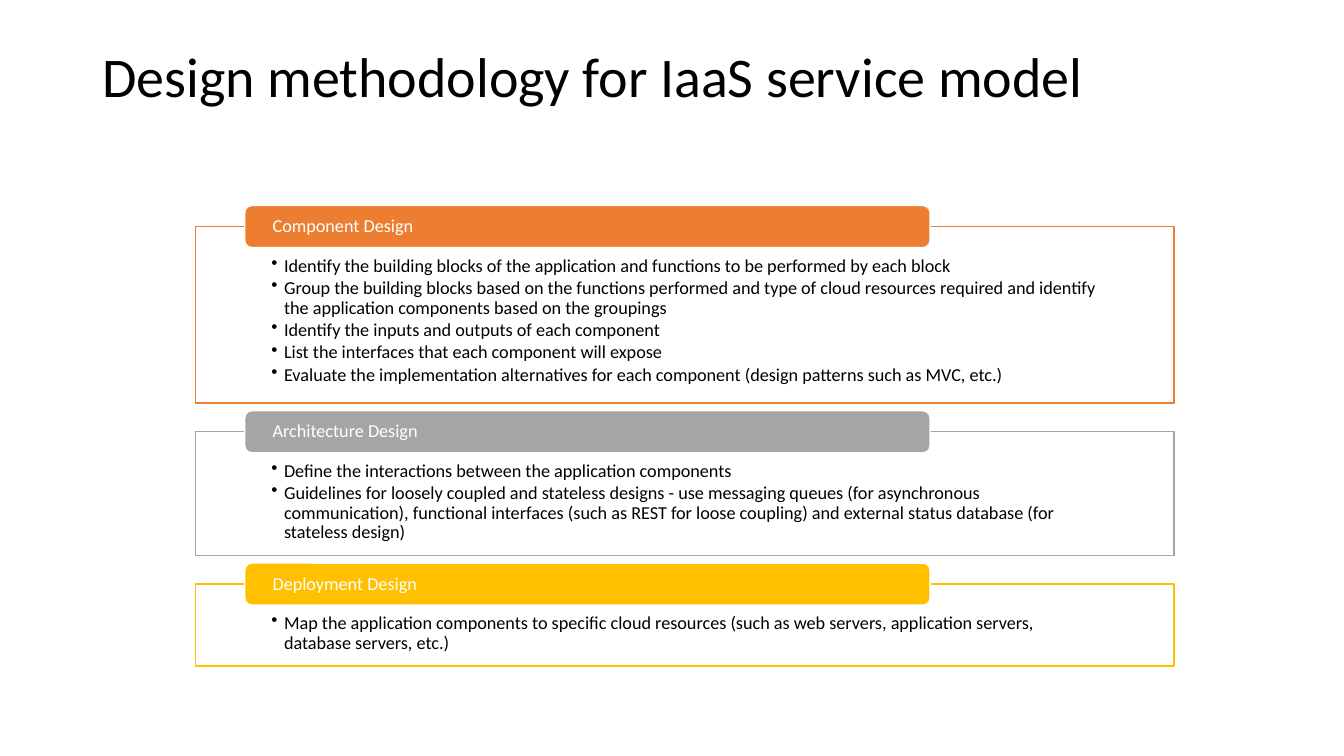
from lxml import etree
from pptx import Presentation
from pptx.dml.color import RGBColor
from pptx.enum.shapes import MSO_SHAPE as Preset
from pptx.enum.text import MSO_ANCHOR as Anchor, PP_ALIGN as Align
from pptx.oxml.ns import qn
from pptx.util import Cm, Pt

COLOURS = {
    "black": "000000",
    "white": "FFFFFF",
    "orange": "ED7D31",
    "grey": "A5A5A5",
    "gold": "FFC000",
}
FONT = "Calibri"
PANEL_LEFT, PANEL_WIDTH, PANEL_GAP = 4.93, 24.66, 0.72
FIRST_PANEL_TOP = 5.71
HEADER_LEFT, HEADER_WIDTH, HEADER_HEIGHT = 6.17, 17.27, 1.06
BULLET_INDENT = Cm(0.32)

# Heading, colour, panel height in cm, bullet texts
STAGES = [
    ("Component Design", "orange", 4.45, [
        "Identify the building blocks of the application and functions to be performed by each block",
        "Group the building blocks based on the functions performed and type of cloud resources "
        "required and identify the application components based on the groupings",
        "Identify the inputs and outputs of each component",
        "List the interfaces that each component will expose",
        "Evaluate the implementation alternatives for each component (design patterns such as MVC, etc.)",
    ]),
    ("Architecture Design", "grey", 3.12, [
        "Define the interactions between the application components",
        "Guidelines for loosely coupled and stateless designs - use messaging queues (for asynchronous "
        "communication), functional interfaces (such as REST for loose coupling) and external status "
        "database (for stateless design)",
    ]),
    ("Deployment Design", "gold", 2.06, [
        "Map the application components to specific cloud resources (such as web servers, "
        "application servers, database servers, etc.)",
    ]),
]


def colour(name):
    return RGBColor.from_string(COLOURS[name])


def set_frame(frame, anchor, left, top, right, bottom):
    """Set wrapping, anchor and margins (in cm) of a text frame."""
    frame.word_wrap = True
    frame.vertical_anchor = anchor
    frame.margin_left, frame.margin_top = Cm(left), Cm(top)
    frame.margin_right, frame.margin_bottom = Cm(right), Cm(bottom)


def style_paragraph(para, text, size, text_colour):
    para.text = text
    para.alignment = Align.LEFT
    para.line_spacing = 0.9
    para.font.name = FONT
    para.font.size = Pt(size)
    para.font.color.rgb = colour(text_colour)


def add_bullet(para):
    properties = para._p.get_or_add_pPr()
    properties.set("marL", str(BULLET_INDENT))
    properties.set("indent", str(-BULLET_INDENT))
    etree.SubElement(properties, qn("a:buChar")).set("char", "•")


def add_box(page, preset, left, top, width, height, fill, line):
    box = page.shapes.add_shape(preset, Cm(left), Cm(top), Cm(width), Cm(height))
    box.shadow.inherit = False
    box.fill.solid()
    box.fill.fore_color.rgb = colour(fill)
    box.line.color.rgb = colour(line)
    box.line.width = Pt(1)
    return box


def add_title(page, text):
    box = page.shapes.add_textbox(Cm(2.33), Cm(0.51), Cm(29.21), Cm(3))
    set_frame(box.text_frame, Anchor.MIDDLE, 0.25, 0.13, 0.25, 0.13)
    style_paragraph(box.text_frame.paragraphs[0], text, 40, "black")


def add_panel(page, top, height, line, bullets):
    panel = add_box(page, Preset.RECTANGLE, PANEL_LEFT, top, PANEL_WIDTH, height, "white", line)
    frame = panel.text_frame
    set_frame(frame, Anchor.TOP, 1.91, 0.75, 1.91, 0.25)
    for index, text in enumerate(bullets):
        para = frame.add_paragraph() if index else frame.paragraphs[0]
        add_bullet(para)
        style_paragraph(para, text, 13, "black")
        para.space_after = Pt(1.9)


def add_header(page, panel_top, fill, text):
    """Add a rounded heading centred on the panel's top edge."""
    top = panel_top - HEADER_HEIGHT / 2
    header = add_box(page, Preset.ROUNDED_RECTANGLE, HEADER_LEFT, top,
                     HEADER_WIDTH, HEADER_HEIGHT, fill, "white")
    set_frame(header.text_frame, Anchor.MIDDLE, 0.65, 0, 0.65, 0)
    style_paragraph(header.text_frame.paragraphs[0], text, 13, "white")


def main():
    deck = Presentation()
    deck.slide_width, deck.slide_height = Cm(33.87), Cm(19.05)
    page = deck.slides.add_slide(deck.slide_layouts[6])
    add_title(page, "Design methodology for IaaS service model")
    top = FIRST_PANEL_TOP
    for heading, stage_colour, height, bullets in STAGES:
        add_panel(page, top, height, stage_colour, bullets)
        add_header(page, top, stage_colour, heading)
        top += height + PANEL_GAP
    deck.save("out.pptx")


if __name__ == "__main__":
    main()
